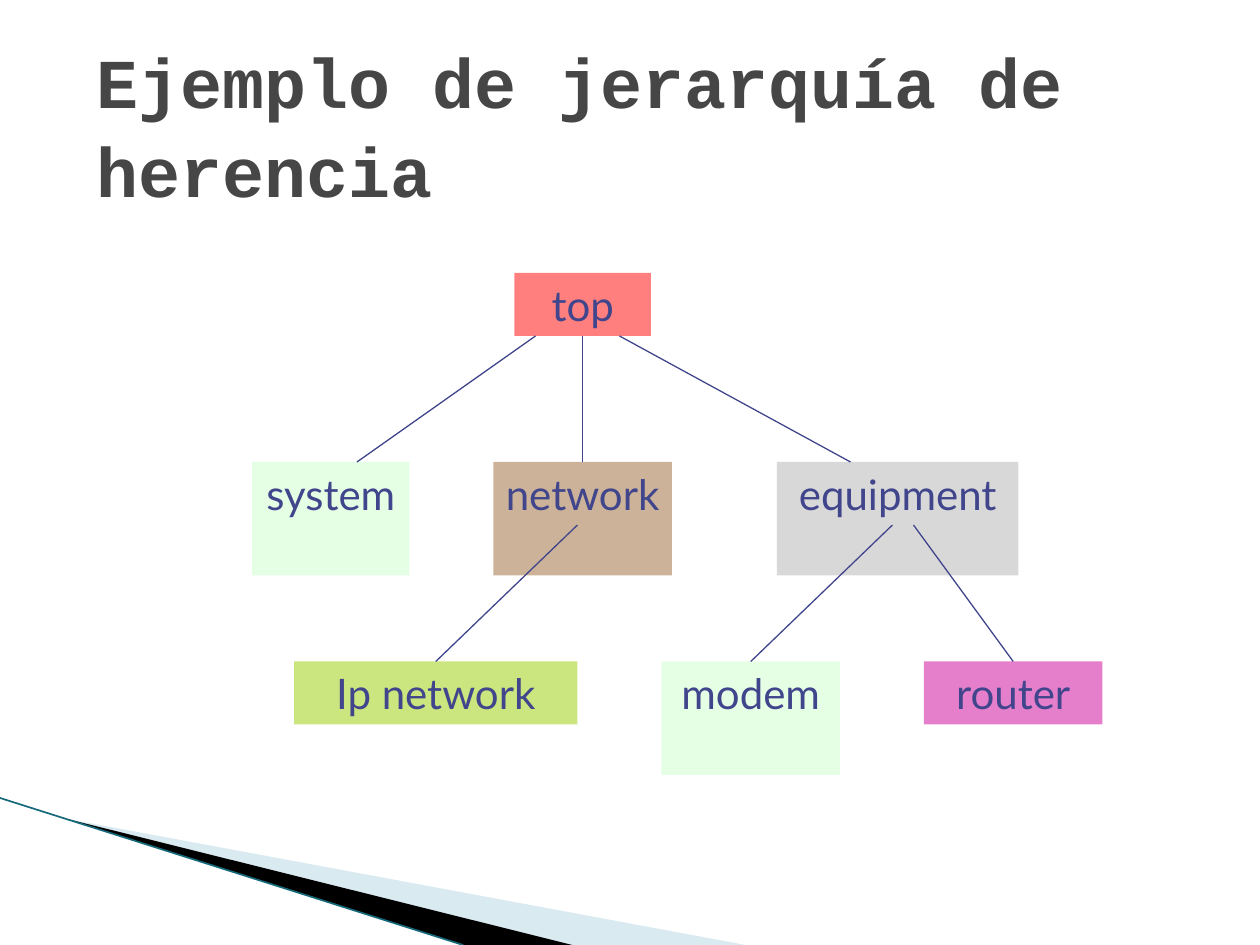
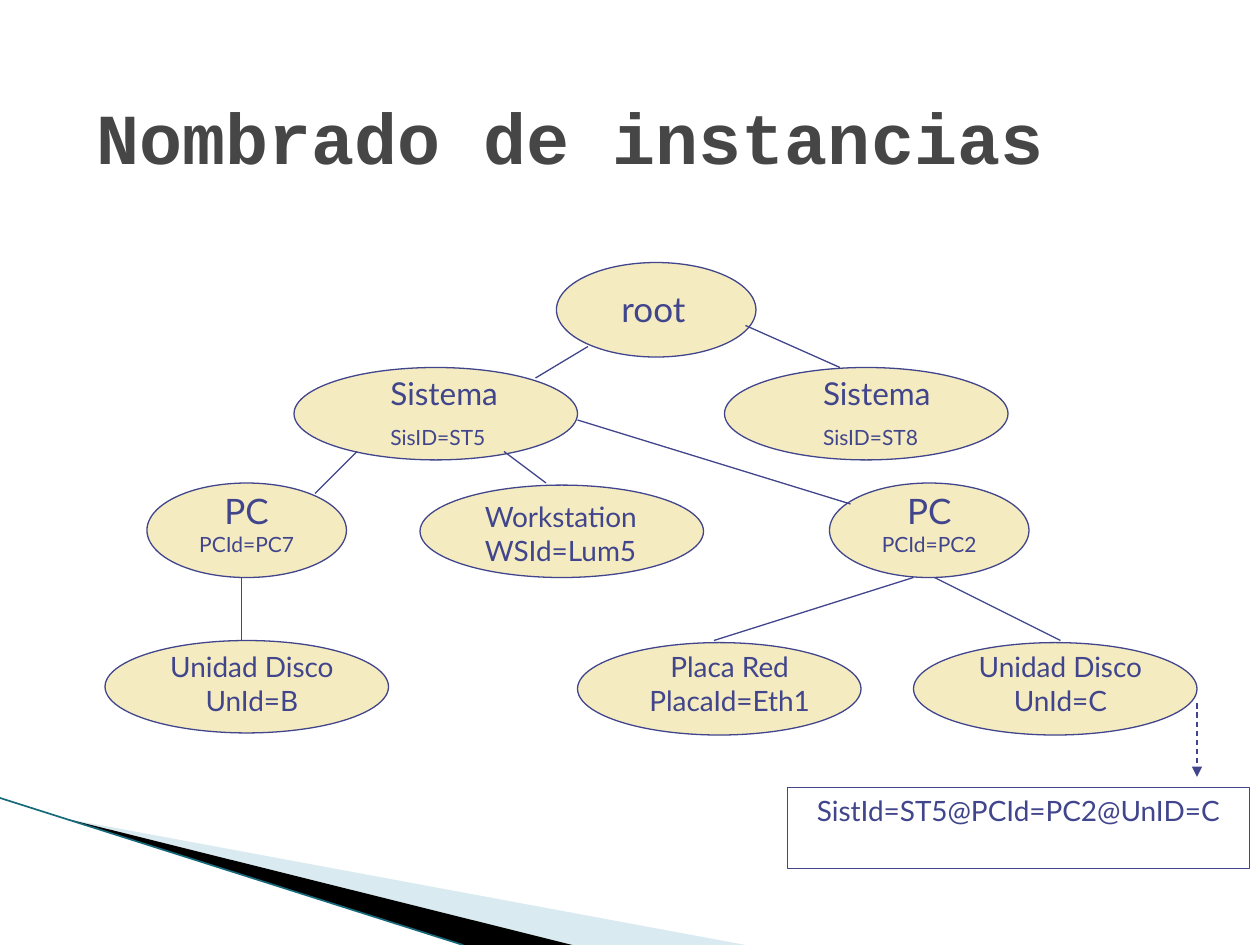
"""Build two slides on inheritance and naming of managed objects."""
from dataclasses import dataclass

from lxml import etree
from pptx import Presentation
from pptx import util as u
from pptx.dml.color import RGBColor
from pptx.enum import dml, shapes, text
from pptx.oxml import ns

WIDE, HIGH = u.Inches(10), u.Inches(7.5)
COLS, ROWS = 120, 90
INK = {
    "title": "464646", "text": "40458C", "pale": "A0CBDC", "dark": "000000", "edge": "16697A",
    "red": "FF0000", "mint": "CCFFCC", "brown": "996633", "gray": "B2B2B2",
    "lime": "99CC00", "pink": "CC0099", "sand": "ECD882",
}
BODY, HEAD = "Lato", "Courier New"
MID, LEFT = text.PP_ALIGN.CENTER, text.PP_ALIGN.LEFT
RECT, OVAL = shapes.MSO_SHAPE.RECTANGLE, shapes.MSO_SHAPE.OVAL
BOTTOM, TOP = 2, 0


@dataclass(frozen=True)
class Area:
    x: float
    y: float
    w: float
    h: float


@dataclass(frozen=True)
class Node:
    name: str
    area: Area
    tint: str


@dataclass(frozen=True)
class Label:
    area: Area
    paras: tuple
    align: int = MID


@dataclass(frozen=True)
class Link:
    x1: float
    y1: float
    x2: float
    y2: float
    start: str = ""
    end: str = ""


def col(n: float) -> int:
    return round(WIDE * n / COLS)


def row(n: float) -> int:
    return round(HIGH * n / ROWS)


def place(area: Area) -> tuple:
    return col(area.x), row(area.y), col(area.w), row(area.h)


def ink(key: str) -> RGBColor:
    return RGBColor.from_string(INK[key])


def paint(shape, key: str, alpha: int = 100) -> None:
    shape.fill.solid()
    shape.fill.fore_color.rgb = ink(key)
    if alpha < 100:
        tone = next(shape._element.spPr.iter(ns.qn("a:srgbClr")))
        etree.SubElement(tone, ns.qn("a:alpha"), val=str(alpha * 1000))


def write(shape, paras: tuple, align: int = MID) -> None:
    frame = shape.text_frame
    frame.word_wrap = True
    frame.vertical_anchor = text.MSO_ANCHOR.TOP
    frame.margin_left = u.Inches(0.1 if align == LEFT else 0.05)
    frame.margin_right = u.Inches(0.05)
    for i, runs in enumerate(paras):
        para = frame.add_paragraph() if i else frame.paragraphs[0]
        para.alignment = align
        para.font.name = BODY
        para.font.color.rgb = ink("text")
        if i:
            para.space_before = u.Pt(7.5)
        if len(runs) == 1:
            para.font.size = u.Pt(runs[0][1])
        for words, size in runs:
            run = para.add_run()
            run.text = words
            if len(runs) > 1:
                run.font.size = u.Pt(size)


def block(slide, kind: int, area: Area, tint: str = "", edge: bool = False):
    shape = slide.shapes.add_shape(kind, *place(area))
    shape.shadow.inherit = False
    if tint:
        paint(shape, tint, 50)
    else:
        shape.fill.background()
    if edge:
        shape.line.color.rgb = ink("text")
        shape.line.width = u.Pt(0.75)
    else:
        shape.line.fill.background()
    return shape


def join(slide, link: Link, nodes: dict, tint: str = "text", width: float = 0.75):
    line = slide.shapes.add_connector(
        shapes.MSO_CONNECTOR.STRAIGHT, col(link.x1), row(link.y1), col(link.x2), row(link.y2))
    if link.start:
        line.begin_connect(nodes[link.start], BOTTOM)
    if link.end:
        line.end_connect(nodes[link.end], TOP)
    line.line.color.rgb = ink(tint)
    line.line.width = u.Pt(width)
    etree.SubElement(line._element.spPr, ns.qn("a:effectLst"))
    return line


def wedge(slide, points: list, tint: str, alpha: int = 100) -> None:
    spots = [(col(x), row(y)) for x, y in points]
    maker = slide.shapes.build_freeform(*spots[0])
    maker.add_line_segments(spots[1:], close=True)
    shape = maker.convert_to_shape()
    shape.shadow.inherit = False
    paint(shape, tint, alpha)
    shape.line.fill.background()


def start(deck, title: str, area: Area, size: int):
    slide = deck.slides.add_slide(deck.slide_layouts[6])
    wedge(slide, [(6.4, 78), (71, 90), (54.5, 90)], "pale", 40)
    wedge(slide, [(6.4, 78), (54.5, 90), (44.2, 90)], "dark")
    join(slide, Link(0, 76, 44.1, 90), {}, "edge", 0.95)
    frame = slide.shapes.add_textbox(*place(area)).text_frame
    frame.word_wrap = True
    frame.vertical_anchor = text.MSO_ANCHOR.MIDDLE
    para = frame.paragraphs[0]
    para.text = title
    para.line_spacing = 1.06
    para.font.name, para.font.size, para.font.bold = HEAD, u.Pt(size), True
    para.font.color.rgb = ink("title")
    return slide


def classes(deck) -> None:
    slide = start(deck, "Ejemplo de jerarquía de herencia", Area(8, 3, 102, 17.3), 40)
    tree = [
        Node("top", Area(49, 26, 13, 6), "red"),
        Node("system", Area(24, 44, 15, 10.8), "mint"),
        Node("network", Area(47, 44, 17, 10.8), "brown"),
        Node("equipment", Area(74, 44, 23, 10.8), "gray"),
        Node("Ip network", Area(28, 63, 27, 6), "lime"),
        Node("modem", Area(63, 63, 17, 10.8), "mint"),
        Node("router", Area(88, 63, 17, 6), "pink"),
    ]
    nodes = {}
    for node in tree:
        nodes[node.name] = block(slide, RECT, node.area, node.tint)
        write(nodes[node.name], (((node.name, 24),),))
    for link in [
        Link(51, 32, 34, 44),
        Link(55.5, 32, 55.5, 44, "top", "network"),
        Link(59, 32, 81, 44),
        Link(55, 50, 41.5, 63, end="Ip network"),
        Link(85, 50, 71.5, 63, end="modem"),
        Link(87, 50, 96.5, 63, end="router"),
    ]:
        join(slide, link, nodes)


def system(x: float, name: str) -> Label:
    return Label(Area(x, 35, 12.9, 14.5), ((("Sistema", 18),), ((name, 12),)), LEFT)


def station(x: float, name: str) -> Label:
    return Label(Area(x, 46, 13, 7.7), ((("PC ", 20), (name, 12)),))


def unit(x: float, words: str, width: float = 18) -> Label:
    return Label(Area(x, 61.3, width, 10.8), (((words, 16),),))


def names(deck) -> None:
    slide = start(deck, "Nombrado de instancias", Area(8, 5.2, 102, 15), 41)
    small = [(53, 25), (14, 46), (79, 46)]
    large = [(28, 35), (69, 35), (40, 46.2), (10, 61), (55, 61.2), (87, 61.2)]
    for spots, w, h in ((small, 19, 9), (large, 27, 8.8)):
        for x, y in spots:
            block(slide, OVAL, Area(x, y, w, h), "sand", True)
    for label in [
        Label(Area(58, 26.8, 9, 9.2), ((("root", 20),),), LEFT),
        system(36, "SisID=ST5"),
        system(77.2, "SisID=ST8"),
        station(17, "PCId=PC7"),
        Label(Area(45, 47, 18, 14), ((("Workstation WSId=Lum5", 16),),), LEFT),
        station(82, "PCId=PC2"),
        unit(15, "Unidad Disco UnId=B"),
        unit(60, "Placa Red PlacaId=Eth1", 19),
        unit(92, "Unidad Disco UnId=C"),
    ]:
        write(slide.shapes.add_textbox(*place(label.area)), label.paras, label.align)
    for link in [
        Link(56, 33, 51, 36), Link(71, 31, 80, 35),
        Link(34, 43, 30, 47), Link(48, 43, 52, 46), Link(55, 40, 81, 48),
        Link(87, 55, 68, 61), Link(89, 55, 101, 61), Link(23, 55, 23, 61),
    ]:
        join(slide, link, {})
    full = block(slide, RECT, Area(75, 75, 44, 7.7), edge=True)
    write(full, ((("SistId=ST5@PCId=PC2@UnID=C", 16),),))
    arrow = join(slide, Link(114, 67, 114, 74), {})
    arrow.line.dash_style = dml.MSO_LINE.DASH
    etree.SubElement(arrow.line._get_or_add_ln(), ns.qn("a:tailEnd"), type="triangle")


def main() -> None:
    deck = Presentation()
    deck.slide_width, deck.slide_height = WIDE, HIGH
    classes(deck)
    names(deck)
    deck.save("out.pptx")


if __name__ == "__main__":
    main()
